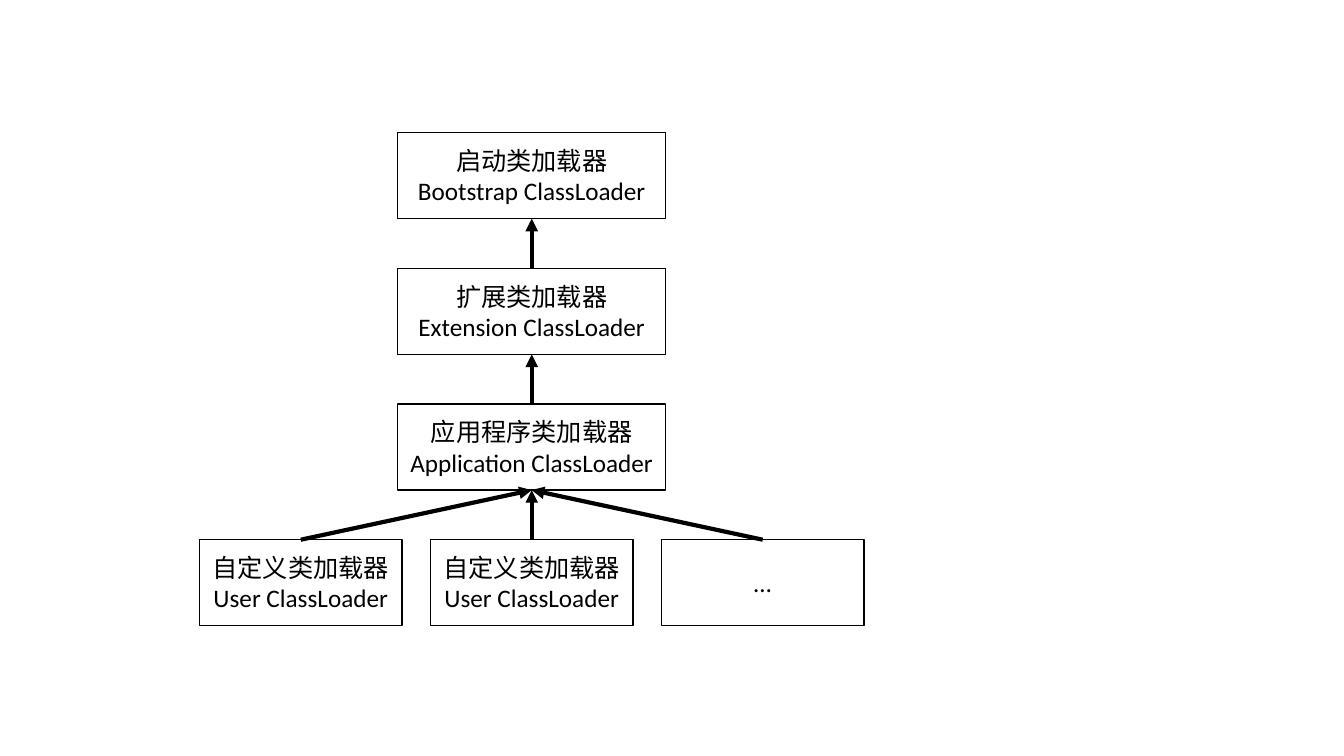
from lxml.etree import SubElement
from pptx import Presentation
from pptx.dml.color import RGBColor
from pptx.enum.shapes import MSO_CONNECTOR, MSO_SHAPE
from pptx.enum.text import MSO_ANCHOR, PP_ALIGN
from pptx.oxml.ns import qn
from pptx.util import Cm, Pt

BUILT_IN_LOADERS = [
    "启动类加载器\nBootstrap ClassLoader",
    "扩展类加载器\nExtension ClassLoader",
    "应用程序类加载器\nApplication ClassLoader",
]
USER_LOADERS = [
    "自定义类加载器\nUser ClassLoader",
    "自定义类加载器\nUser ClassLoader",
    "…",
]

BLACK = RGBColor(0, 0, 0)
WHITE = RGBColor(255, 255, 255)
CENTER_X = 13.4
TOP = 3.34
ROW_PITCH = 3.42
COLUMN_PITCH = 5.82
BOX_HEIGHT = 2.17
BUILT_IN_WIDTH = 6.76
USER_WIDTH = 5.11
TOP_SITE, BOTTOM_SITE = 0, 2


def add_loader(slide, label, center_x, row, width):
    loader = slide.shapes.add_shape(
        MSO_SHAPE.RECTANGLE, Cm(center_x - width / 2), Cm(TOP + row * ROW_PITCH),
        Cm(width), Cm(BOX_HEIGHT))
    loader.shadow.inherit = False
    loader.fill.solid()
    loader.fill.fore_color.rgb = WHITE
    loader.line.color.rgb = BLACK
    loader.line.width = Pt(1)
    frame = loader.text_frame
    frame.text = label
    frame.word_wrap = True
    frame.vertical_anchor = MSO_ANCHOR.MIDDLE
    for paragraph in frame.paragraphs:
        paragraph.alignment = PP_ALIGN.CENTER
        for run in paragraph.runs:
            run.font.name = "Calibri"
            run.font.size = Pt(18)
            run.font.color.rgb = BLACK
    return loader


def add_parent_arrow(slide, child, parent):
    arrow = slide.shapes.add_connector(MSO_CONNECTOR.STRAIGHT, 0, 0, 0, 0)
    arrow.begin_connect(child, TOP_SITE)
    arrow.end_connect(parent, BOTTOM_SITE)
    arrow.line.color.rgb = BLACK
    arrow.line.width = Pt(3)
    SubElement(arrow.line._get_or_add_ln(), qn("a:tailEnd"), type="triangle")
    SubElement(arrow._element.spPr, qn("a:effectLst"))


def main():
    presentation = Presentation()
    presentation.slide_width = Cm(33.87)
    presentation.slide_height = Cm(19.05)
    slide = presentation.slides.add_slide(presentation.slide_layouts[6])

    built_in = [add_loader(slide, label, CENTER_X, row, BUILT_IN_WIDTH)
                for row, label in enumerate(BUILT_IN_LOADERS)]
    users = [add_loader(slide, label, CENTER_X + (column - 1) * COLUMN_PITCH,
                        len(BUILT_IN_LOADERS), USER_WIDTH)
             for column, label in enumerate(USER_LOADERS)]

    for parent, child in zip(built_in, built_in[1:]):
        add_parent_arrow(slide, child, parent)
    for user in users:
        add_parent_arrow(slide, user, built_in[-1])

    presentation.save("out.pptx")


if __name__ == "__main__":
    main()
